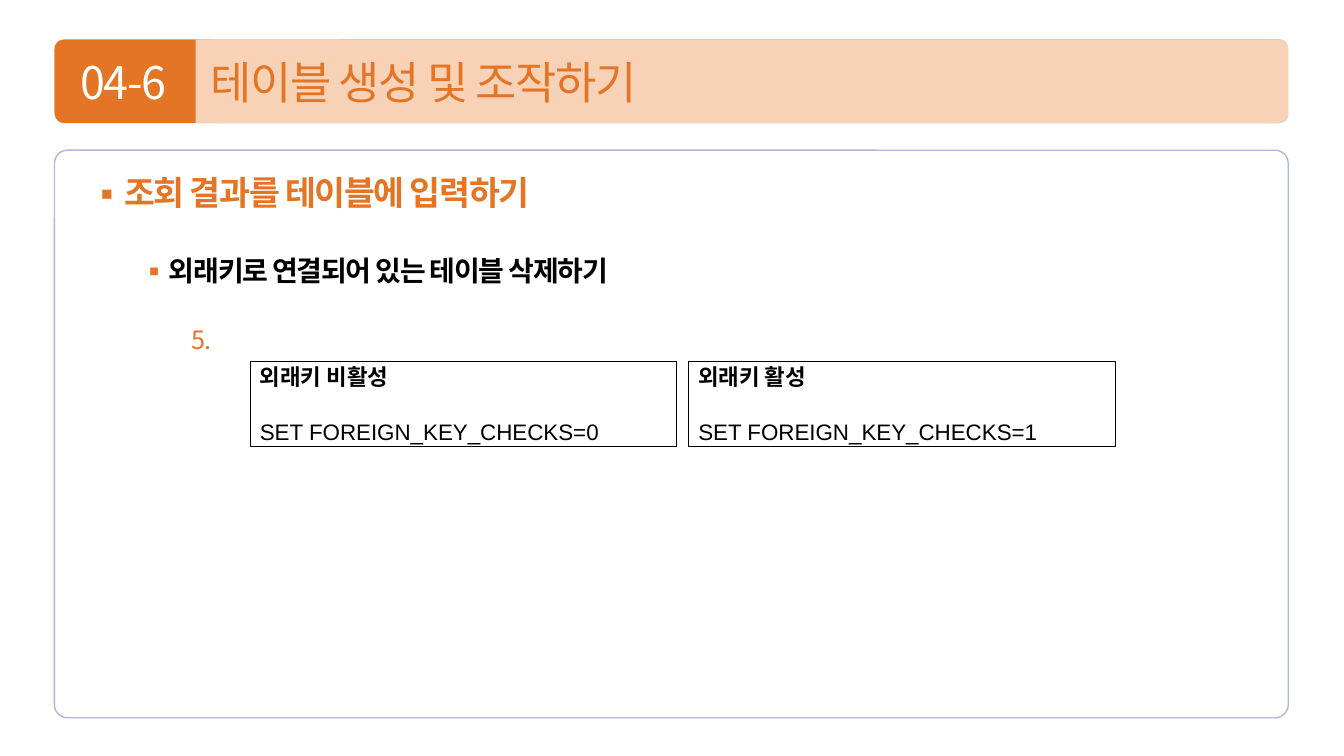
from lxml import etree
from pptx import Presentation, util as u
from pptx.dml.color import RGBColor
from pptx.enum import shapes, text
from pptx.oxml import ns

ORANGE, PEACH, BLACK, WHITE = "E47525", "F7D2B7", "000000", "FFFFFF"
KOREAN = "Noto Sans CJK KR"

presentation = Presentation()
presentation.slide_width, presentation.slide_height = u.Inches(13.333), u.Inches(7.5)
slide = presentation.slides.add_slide(presentation.slide_layouts[6])


def place(left, top, width, height):
    """Turn percentages of the slide's size into lengths."""
    across, down = presentation.slide_width / 100, presentation.slide_height / 100
    return int(left * across), int(top * down), int(width * across), int(height * down)


def add_run(paragraph, words, color, spacing=0, **font_format):
    run = paragraph.add_run()
    run.text = words
    for name, value in font_format.items():
        setattr(run.font, name, value)
    run.font.color.rgb = RGBColor.from_string(color)
    properties = run.font._element
    if spacing:
        properties.set("spc", str(spacing))
    etree.SubElement(properties, ns.qn("a:ea")).set("typeface", KOREAN)


# Content panel, header bar and the two outlined command boxes
header_top, header_height = 5.2, 11.07
box_top, box_width, box_height = 47.73, 31.73, 11.33
boxes = []
for area, corner, fill, line, weight in [
    ((4.05, 19.87, 91.8, 75.07), 0.023, None, "B0B7DA", 1),
    ((4.05, header_top, 91.8, header_height), 0.118, ORANGE, None, 0),
    ((15.2, header_top, 80.65, header_height), 0.097, PEACH, None, 0),
    ((14.55, header_top, 10.88, header_height), None, PEACH, None, 0),
    ((18.6, box_top, box_width, box_height), None, None, BLACK, 0.25),
    ((51.22, box_top, box_width, box_height), None, None, BLACK, 0.25),
]:
    kind = shapes.MSO_SHAPE.RECTANGLE if corner is None else shapes.MSO_SHAPE.ROUNDED_RECTANGLE
    shape = slide.shapes.add_shape(kind, *place(*area))
    shape.shadow.inherit = False
    if corner is not None:
        shape.adjustments[0] = corner
    if fill:
        shape.fill.solid()
        shape.fill.fore_color.rgb = RGBColor.from_string(fill)
    else:
        shape.fill.background()
    if line:
        shape.line.color.rgb = RGBColor.from_string(line)
        shape.line.width = u.Pt(weight)
    else:
        shape.line.fill.background()
    boxes.append(shape)

# Heading: section number, tab, title
heading = slide.shapes.add_textbox(*place(5.25, 6.93, 88.73, 8.13)).text_frame
heading.word_wrap = True
heading.vertical_anchor = text.MSO_ANCHOR.BOTTOM
paragraph = heading.paragraphs[0]
paragraph.line_spacing = 0.9
tabs = etree.SubElement(paragraph._p.get_or_add_pPr(), ns.qn("a:tabLst"))
etree.SubElement(tabs, ns.qn("a:tab"), pos=str(u.Inches(1.29)), algn="l")
for words, color in [("04-6\t", WHITE), ("테이블 생성 및 조작하기", ORANGE)]:
    add_run(paragraph, words, color, -100, size=u.Pt(32), name=KOREAN)

# Outline: two bulleted levels and the step number
body = slide.shapes.add_textbox(*place(6, 22.8, 87.98, 77.2)).text_frame
body.word_wrap = True
body.margin_top = 0
for index, (words, size, color, bold, margin, indent, before) in enumerate([
    ("조회 결과를 테이블에 입력하기", 24, ORANGE, True, 0.25, -0.25, 0),
    ("외래키로 연결되어 있는 테이블 삭제하기", 20, BLACK, True, 0.75, -0.25, 29),
    ("5.", 18, ORANGE, False, 1, 0, 27),
]):
    paragraph = body.add_paragraph() if index else body.paragraphs[0]
    paragraph.space_before = u.Pt(before)
    properties = paragraph._p.get_or_add_pPr()
    properties.set("marL", str(u.Inches(margin)))
    properties.set("indent", str(u.Inches(indent)))
    if indent:
        bullet_color = etree.SubElement(properties, ns.qn("a:buClr"))
        etree.SubElement(bullet_color, ns.qn("a:srgbClr"), val=ORANGE)
        etree.SubElement(properties, ns.qn("a:buFont"), typeface=KOREAN)
        etree.SubElement(properties, ns.qn("a:buChar"), char="▪")
    add_run(paragraph, words, color, -90, size=u.Pt(size), bold=bold, name=KOREAN)

# Command boxes: label above its statement
for shape, label, value in zip(boxes[-2:], ["외래키 비활성", "외래키 활성"], [0, 1]):
    frame = shape.text_frame
    frame.word_wrap = True
    frame.margin_top = frame.margin_bottom = 0
    frame.vertical_anchor = text.MSO_ANCHOR.MIDDLE
    statement = f"SET FOREIGN_KEY_CHECKS={value}"
    for paragraph, words, bold, before in [
        (frame.paragraphs[0], label, True, 0),
        (frame.add_paragraph(), statement, False, 20),
    ]:
        paragraph.alignment = text.PP_ALIGN.JUSTIFY
        paragraph.space_before = u.Pt(before)
        add_run(paragraph, words, BLACK, size=u.Pt(16), bold=bold, name="Arial")

presentation.save("out.pptx")
